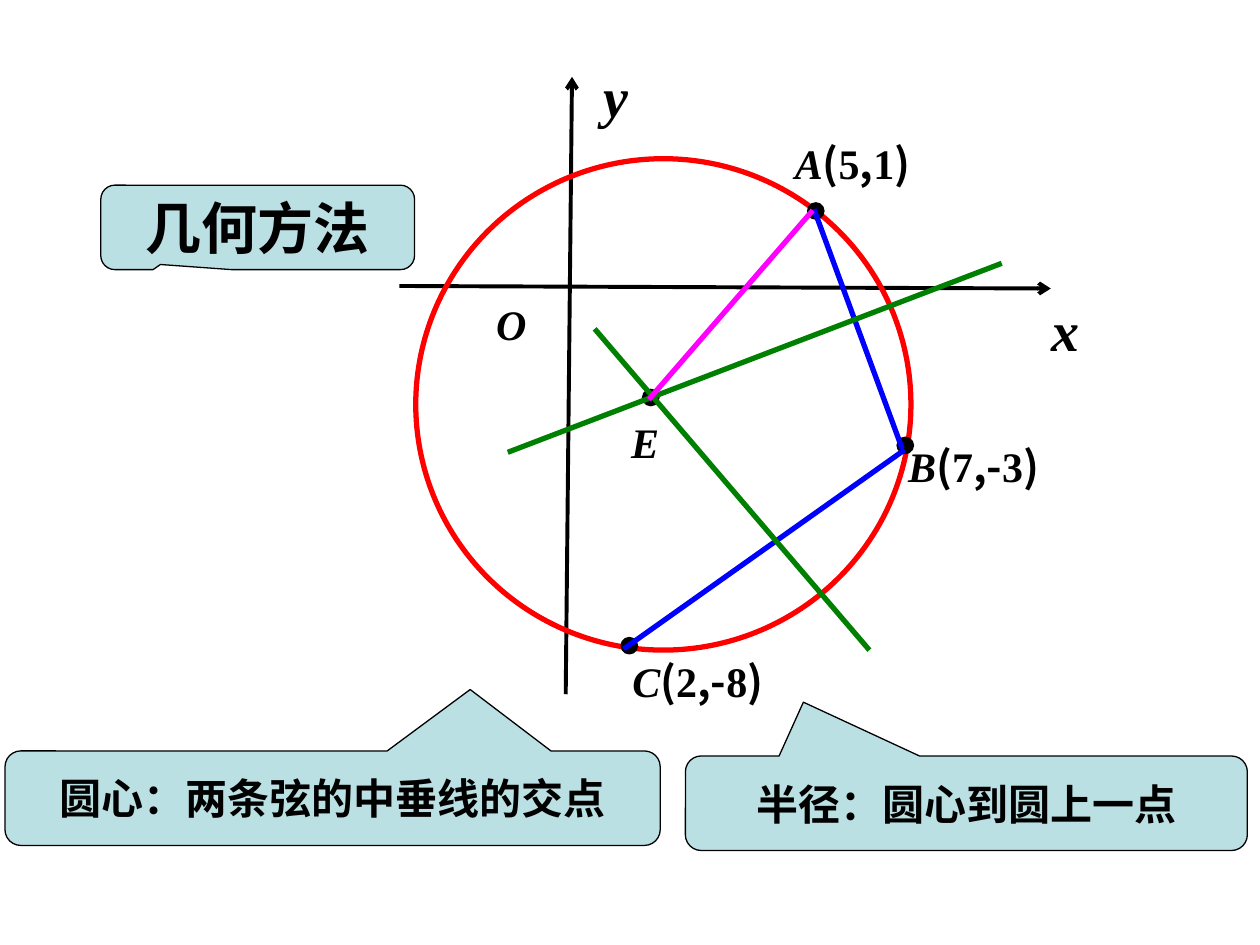
from dataclasses import dataclass
from itertools import groupby

from lxml.etree import SubElement
from pptx import Presentation
from pptx.dml.color import RGBColor as Rgb
from pptx.enum.shapes import MSO_CONNECTOR as Link, MSO_SHAPE as Preset
from pptx.enum.text import MSO_ANCHOR as Anchor, MSO_AUTO_SIZE as Fit, PP_ALIGN as Align
from pptx.oxml.ns import qn
from pptx.util import Inches, Pt


@dataclass(frozen=True)
class Theme:
    """Colours, type and line widths of the slide."""
    ink: str = "000000"
    panel: str = "BBE0E3"
    circle: str = "FF0000"
    chord: str = "0000FF"
    bisector: str = "008000"
    radius: str = "FF00FF"
    body_font: str = "Arial"
    math_font: str = "Times New Roman"
    sign_font: str = "Noto Sans CJK SC"
    large: int = 32
    medium: int = 24
    outline: float = 0.75
    axis: float = 2.25
    stroke: float = 3


@dataclass(frozen=True)
class Box:
    """A region measured in cells of a 100 by 75 grid."""
    left: float
    top: float
    width: float
    height: float

    def inner(self, left, top, width, height):
        """Return a region placed relative to this one."""
        return Box(self.left + left, self.top + top, width, height)

    def point(self, spot):
        """Return the slide position of a spot in this region."""
        return cells(self.left + spot[0]), cells(self.top + spot[1])

    def frame(self):
        """Return left, top, width and height as slide lengths."""
        return tuple(map(cells, (self.left, self.top, self.width, self.height)))


THEME = Theme()
COLUMNS, ROWS = 100, 75
DOT = 1.3


def cells(count):
    """Turn a number of grid cells into a slide length."""
    return Inches(count / 10)


def style_font(font, size):
    """Set the bold black type shared by all text."""
    font.size, font.bold = Pt(size), True
    font.color.rgb = Rgb.from_string(THEME.ink)


def add_outline(slide, preset, box, fill, color, width):
    """Draw a preset shape with a plain outline."""
    figure = slide.shapes.add_shape(preset, *box.frame())
    figure.shadow.inherit = False
    if fill:
        figure.fill.solid()
        figure.fill.fore_color.rgb = Rgb.from_string(fill)
    else:
        figure.fill.background()
    figure.line.color.rgb = Rgb.from_string(color)
    figure.line.width = Pt(width)
    return figure


def add_callout(slide, box, wording, size, tip):
    """Place a rounded callout whose tip is a share of the box from its centre."""
    callout = add_outline(slide, Preset.ROUNDED_RECTANGULAR_CALLOUT, box,
                          THEME.panel, THEME.ink, THEME.outline)
    callout.adjustments[0], callout.adjustments[1] = tip
    frame = callout.text_frame
    frame.word_wrap, frame.vertical_anchor = True, Anchor.MIDDLE
    paragraph = frame.paragraphs[0]
    paragraph.text, paragraph.alignment = wording, Align.CENTER
    paragraph.font.name = THEME.body_font
    style_font(paragraph.font, size)


def add_segment(slide, box, start, end, color, width=THEME.stroke, arrow=False):
    """Draw a straight segment, with an arrowhead at its end if asked."""
    segment = slide.shapes.add_connector(Link.STRAIGHT, *box.point(start), *box.point(end))
    segment.line.color.rgb = Rgb.from_string(color)
    segment.line.width = Pt(width)
    if arrow:
        SubElement(segment.line._get_or_add_ln(), qn("a:tailEnd"), type="arrow")
    SubElement(segment._element.spPr, qn("a:effectLst"))


def add_label(slide, box, letter, coordinates="", size=THEME.medium, wrap=False):
    """Write an italic letter followed by upright coordinates."""
    frame = slide.shapes.add_textbox(*box.frame()).text_frame
    frame.word_wrap, frame.auto_size = wrap, Fit.SHAPE_TO_FIT_TEXT
    paragraph = frame.paragraphs[0]
    style_font(paragraph.font, size)
    name = paragraph.add_run()
    name.text, name.font.name, name.font.italic = letter, THEME.math_font, True
    for is_number, symbols in groupby(coordinates, str.isdigit):
        part = paragraph.add_run()
        part.text = "".join(symbols)
        part.font.name = THEME.math_font if is_number else THEME.sign_font


def add_axes(slide, box):
    """Draw both axes with their names and the origin."""
    for start, end in (((1.7, 22.7), (53.4, 22.9)), ((14.9, 55.1), (15.4, 6.1))):
        add_segment(slide, box, start, end, THEME.ink, THEME.axis, arrow=True)
    add_label(slide, box.inner(52.5, 23, 4.2, 6.4), "x", size=THEME.large, wrap=True)
    add_label(slide, box.inner(16.9, 4.4, 4, 6.4), "y", size=THEME.large)
    add_label(slide, box.inner(8.4, 23.2, 6.7, 5), "O", wrap=True)


def add_construction(slide, box):
    """Draw the circle, its chords, their bisectors, a radius and the points."""
    add_outline(slide, Preset.OVAL, box.inner(3, 12.6, 39.3, 39),
                None, THEME.circle, THEME.stroke)
    points = (
        ("A", "(5,1)", (34.1, 16.1), (32.1, 10.4, 13.6)),
        ("B", "(7,-3)", (41.2, 34.7), (41.1, 34.5, 15.6)),
        ("C", "(2,-8)", (19.3, 50.6), (19.2, 51.5, 15.6)),
        ("E", "", (21, 30.9), (19.1, 32.6, 4.2)),
    )
    for letter, coordinates, dot, label in points:
        add_label(slide, box.inner(*label, 5), letter, coordinates)
        add_outline(slide, Preset.OVAL, box.inner(*dot, DOT, DOT),
                    THEME.ink, THEME.ink, THEME.outline)
    segments = (
        ((34.6, 16.6), (41.6, 35.6), THEME.chord),
        ((49.5, 20.9), (10.3, 35.9), THEME.bisector),
        ((41.8, 35.7), (19.5, 51.5), THEME.chord),
        ((39, 51.6), (17.2, 26.1), THEME.bisector),
        ((34.5, 16.7), (21.5, 31.7), THEME.radius),
    )
    for start, end, color in segments:
        add_segment(slide, box, start, end, color)


def add_conclusions(slide, box):
    """Place the callouts on the centre and the radius."""
    add_callout(slide, box.inner(0.4, 0, 52, 7.5), "圆心：两条弦的中垂线的交点",
                THEME.medium, (0.21, -1.15))
    add_callout(slide, box.inner(54.4, 0.4, 44.6, 7.5), "半径：圆心到圆上一点",
                THEME.medium, (-0.29, -1.07))


def main():
    """Build and save the slide."""
    deck = Presentation()
    deck.slide_width, deck.slide_height = cells(COLUMNS), cells(ROWS)
    slide = deck.slides.add_slide(deck.slide_layouts[6])
    diagram = Box(30, 0, 60, 58)
    add_conclusions(slide, Box(0, 59.6, COLUMNS, 8))
    add_axes(slide, diagram)
    add_construction(slide, diagram)
    add_callout(slide, Box(8, 14.7, 24.9, 6.7), "几何方法", THEME.large, (-0.31, 0.44))
    deck.save("out.pptx")


if __name__ == "__main__":
    main()
